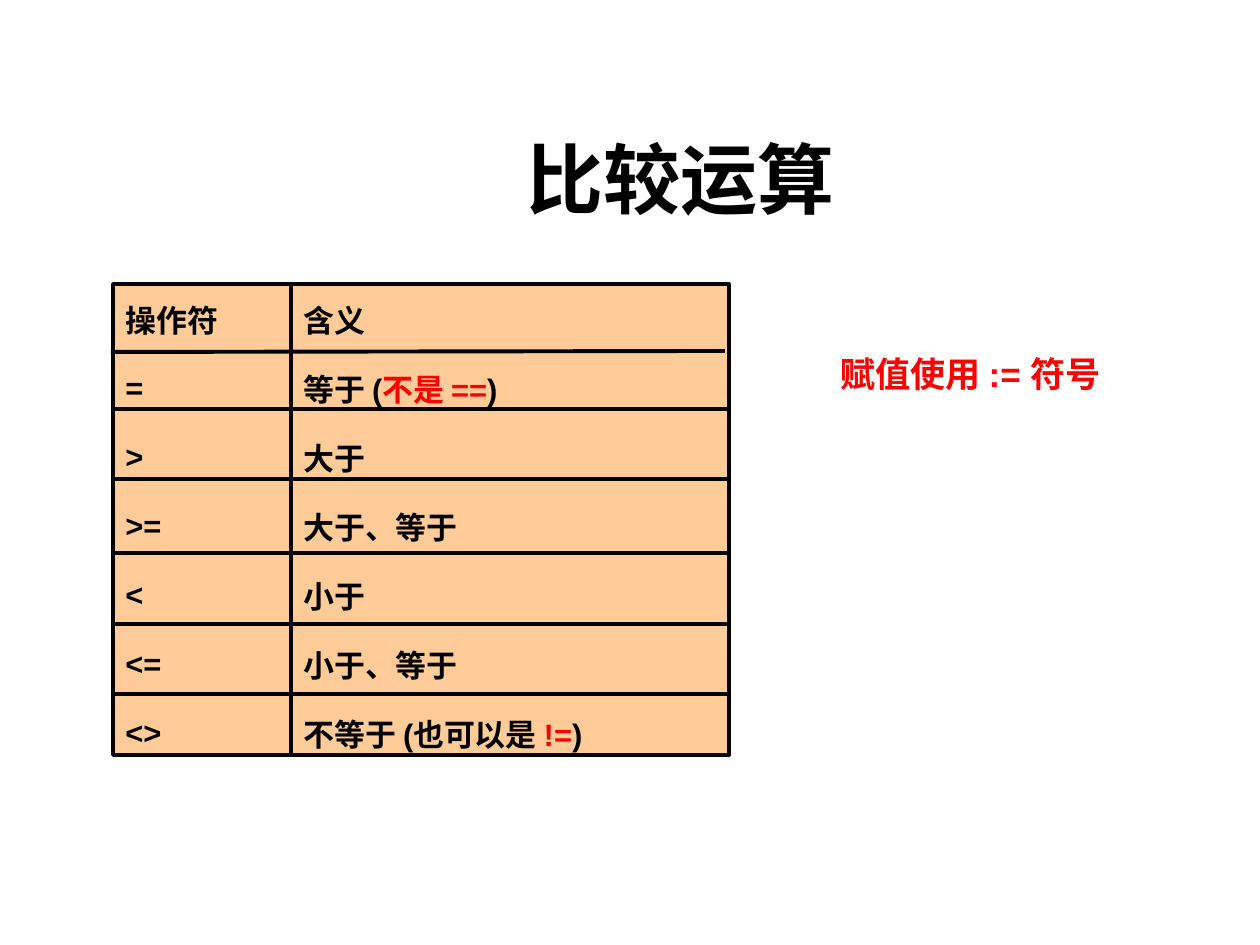
from lxml import etree
from pptx import Presentation, util as u
from pptx.dml.color import RGBColor
from pptx.enum import shapes, text
from pptx.oxml.ns import qn

PX = 914400 // 126
COLORS = {"ink": "000000", "accent": "FF0000", "cell": "FFCC99"}
FONT = "Arial"
TOP, HEIGHT = 284, 471
LINE_HEIGHT, PARAGRAPH_GAP, LATIN_LIFT = 24, 15.43, 1.5
OPERATORS = [[(word, "ink")] for word in ("操作符", "=", ">", ">=", "<", "<=", "<>")]
MEANINGS = [
    [("含义", "ink")],
    [("等于 (", "ink"), ("不是 ==", "accent"), (")", "ink")],
    [("大于", "ink")],
    [("大于、等于", "ink")],
    [("小于", "ink")],
    [("小于、等于", "ink")],
    [("不等于 (也可以是 ", "ink"), ("!=", "accent"), (")", "ink")],
]
RULES = (
    ((111, 352), (725, 351), 2.25),
    ((113, 409), (728, 409), 2),
    ((115, 479), (727, 479), 2),
    ((115, 553), (728, 553), 2),
    ((111, 624), (729, 624), 2),
    ((113, 694), (727, 694), 2),
)


def px(length):
    return u.Emu(length * PX)


def color(name):
    return RGBColor.from_string(COLORS[name])


def set_font(paragraph, size, name=FONT):
    paragraph.font.name = name
    paragraph.font.size = u.Pt(size)
    paragraph.font.bold = True


def add_label(slide, box, words, size, color_name, font=FONT, align=text.PP_ALIGN.LEFT):
    frame = slide.shapes.add_textbox(*map(px, box)).text_frame
    frame.word_wrap = True
    paragraph = frame.paragraphs[0]
    paragraph.text = words
    paragraph.alignment = align
    set_font(paragraph, size, font)
    paragraph.font.color.rgb = color(color_name)


def add_column(slide, left, width, entries, lift=0):
    shape = slide.shapes.add_shape(
        shapes.MSO_SHAPE.RECTANGLE, px(left), px(TOP), px(width), px(HEIGHT))
    shape.shadow.inherit = False
    shape.fill.solid()
    shape.fill.fore_color.rgb = color("cell")
    shape.line.color.rgb = color("ink")
    shape.line.width = u.Pt(2)
    frame = shape.text_frame
    frame.word_wrap = True
    frame.vertical_anchor = text.MSO_ANCHOR.TOP
    frame.margin_top = px(13)
    for index, runs in enumerate(entries):
        paragraph = frame.add_paragraph() if index else frame.paragraphs[0]
        paragraph.alignment = text.PP_ALIGN.LEFT
        paragraph.line_spacing = u.Pt(LINE_HEIGHT)
        if index:
            paragraph.space_before = u.Pt(PARAGRAPH_GAP - (lift if index == 1 else 0))
        set_font(paragraph, 17.7)
        for words, color_name in runs:
            run = paragraph.add_run()
            run.text = words
            run.font.color.rgb = color(color_name)


def add_rule(slide, start, end, width):
    line = slide.shapes.add_connector(
        shapes.MSO_CONNECTOR.STRAIGHT, *map(px, start + end))
    line.line.color.rgb = color("ink")
    line.line.width = u.Pt(width)
    etree.SubElement(line._element.spPr, qn("a:effectLst"))


def main():
    presentation = Presentation()
    presentation.slide_width, presentation.slide_height = px(1260), px(945)
    slide = presentation.slides.add_slide(presentation.slide_layouts[6])
    add_label(slide, (154, 125, 1053, 198), "比较运算", 44, "ink",
              "Noto Sans CJK SC", text.PP_ALIGN.CENTER)
    add_column(slide, 113, 178, OPERATORS, LATIN_LIFT)
    add_column(slide, 291, 438, MEANINGS)
    for start, end, width in RULES:
        add_rule(slide, start, end, width)
    add_label(slide, (828, 346, 307, 55), "赋值使用 := 符号", 20, "accent")
    presentation.save("out.pptx")


if __name__ == "__main__":
    main()
